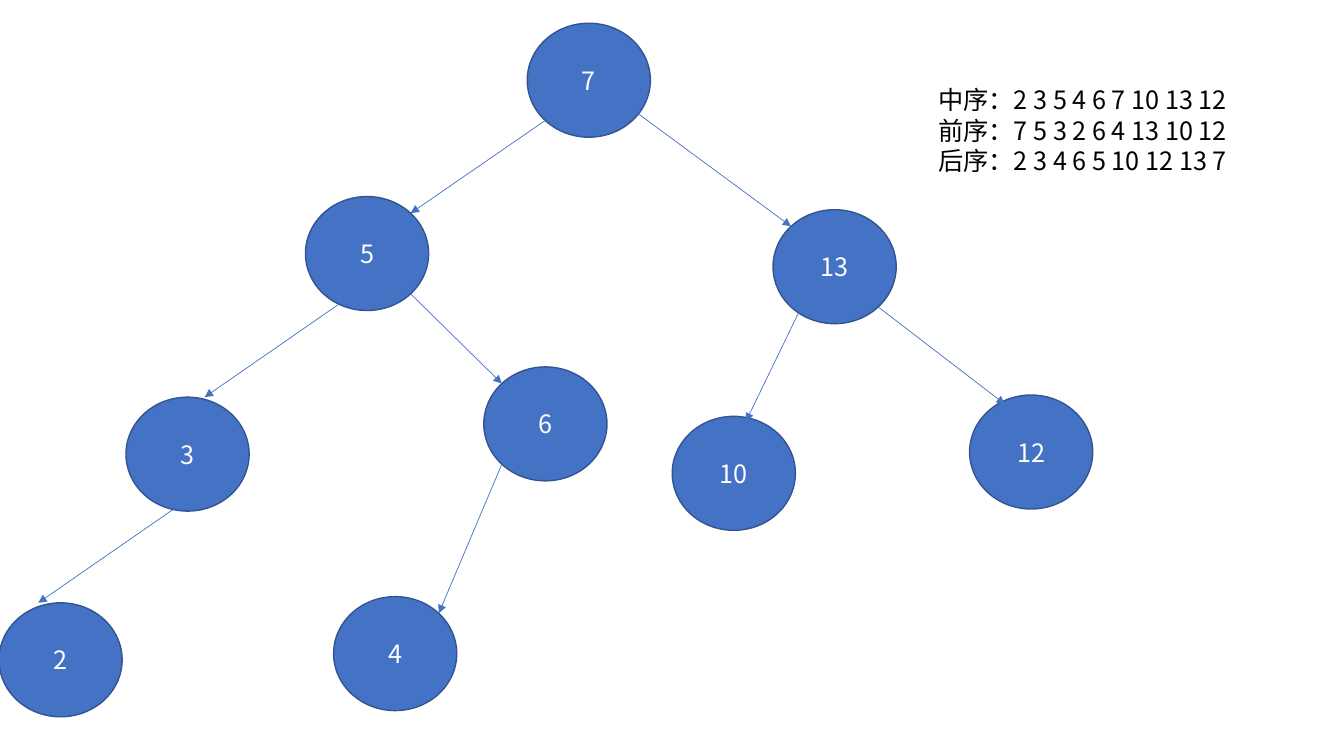
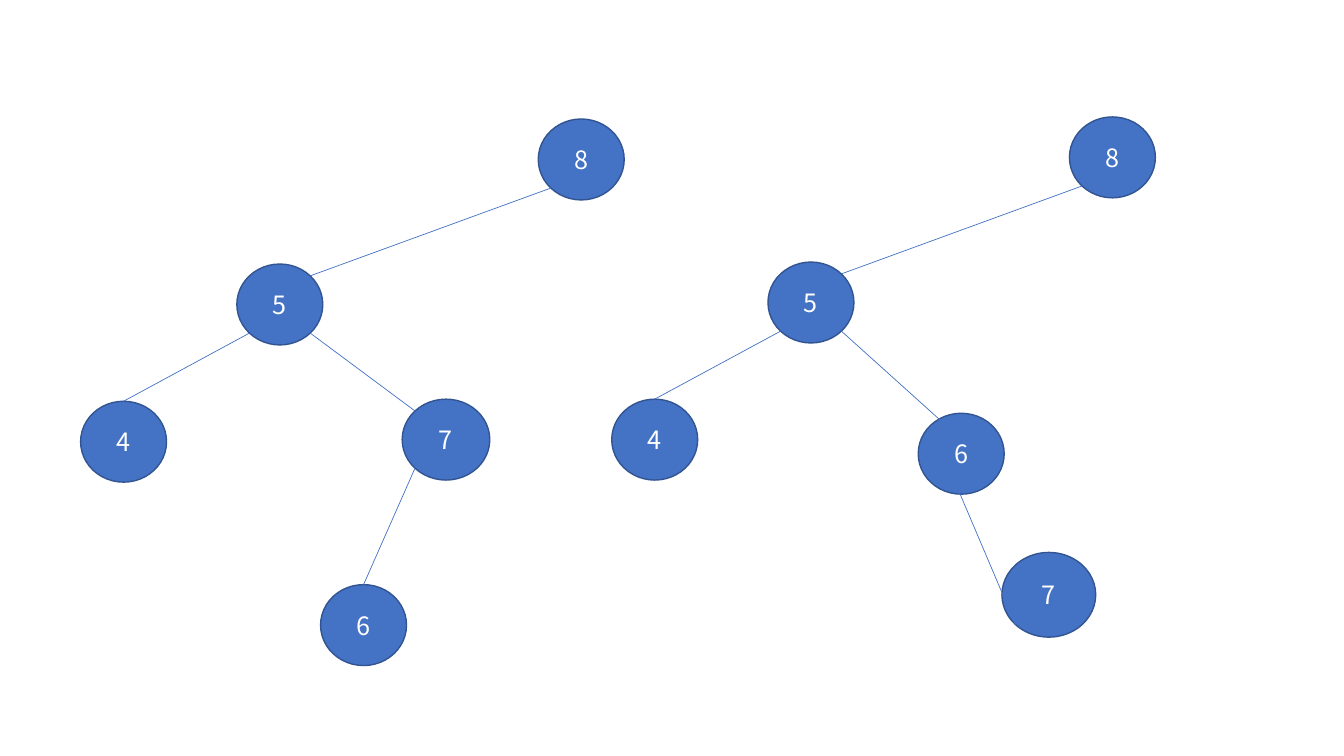
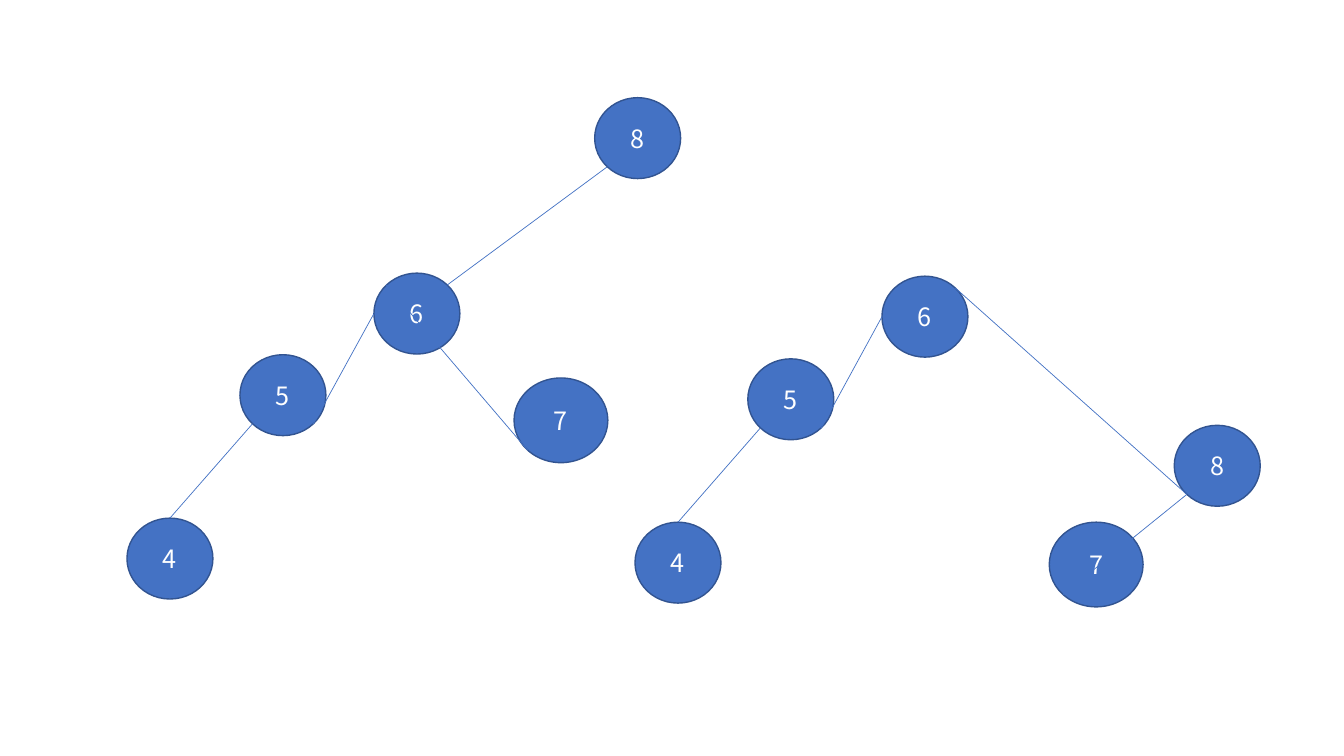
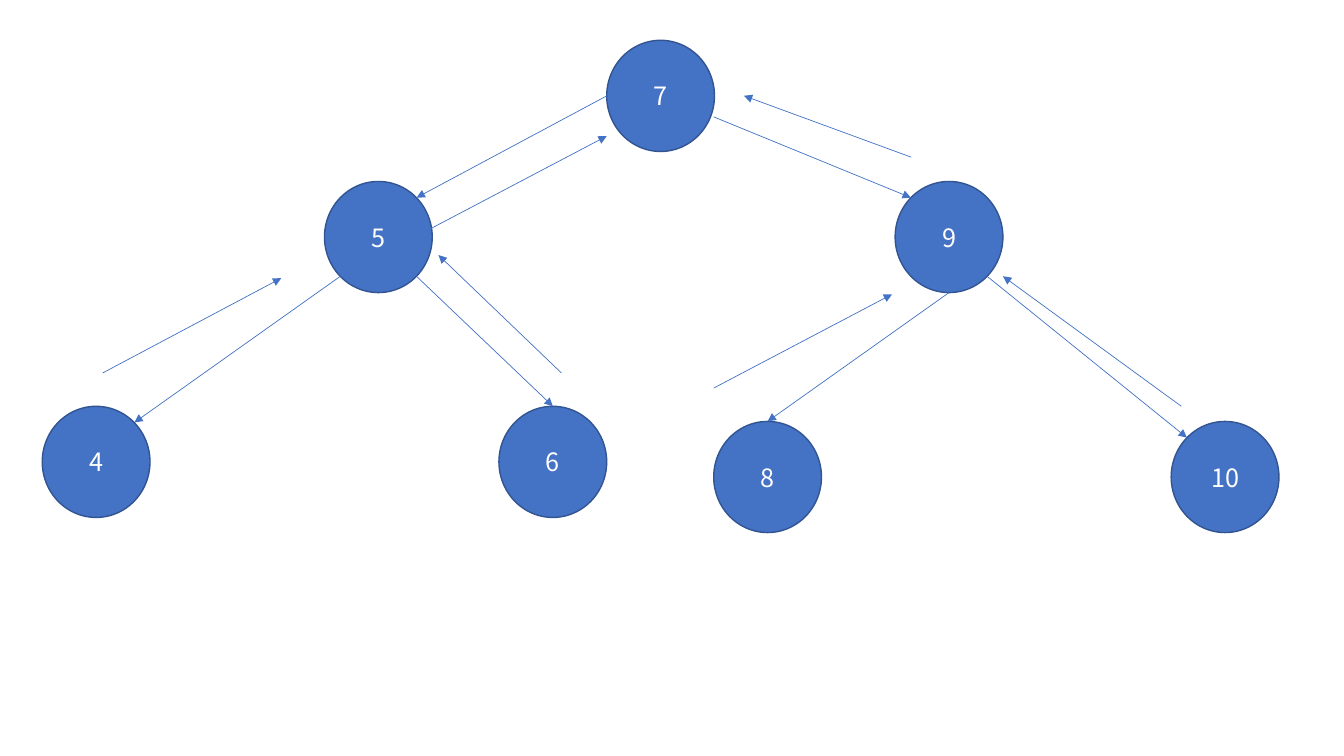
import pptx
import pptx.util
import pptx.dml.color
import pptx.enum.shapes
import pptx.enum.text
import pptx.oxml.ns
import lxml.etree

Pt = pptx.util.Pt
RGB = pptx.dml.color.RGBColor.from_string
qn = pptx.oxml.ns.qn
KIND = pptx.enum.shapes
ALIGN = pptx.enum.text.PP_ALIGN

COLORS = {"node": "4472C4", "edge": "325491", "light": "FFFFFF", "dark": "000000"}
FONT = "Noto Sans CJK SC"

# Points on an ellipse, as shares of its width and height
LOW, HIGH = 0.146, 0.854
SITES = {"t": (0.5, 0), "tl": (LOW, LOW), "l": (0, 0.5), "bl": (LOW, HIGH),
         "b": (0.5, 1), "br": (HIGH, HIGH), "r": (1, 0.5), "tr": (HIGH, LOW)}


def write(frame, text, color="dark", align=ALIGN.LEFT, size=18):
    frame.text = text
    for par in frame.paragraphs:
        par.alignment = align
        font = par.runs[0].font
        font.size, font.name = Pt(size), FONT
        font.color.rgb = RGB(COLORS[color])
        east = lxml.etree.SubElement(font._element, qn("a:ea"))
        east.set("typeface", FONT)


def locate(end, nodes):
    """Turn an (x, y) pair or a "label site" string into a position."""
    if isinstance(end, tuple):
        return end
    label, site = end.split()
    x, y, w, h = nodes[label]
    across, down = SITES[site]
    return x + w * across, y + h * down


# Trees: slide number, arrows, node size, nodes (x, y and own size), links
TREES = [
    (1, True, (88, 81.4),
     {"7": (376.6, 16.6), "5": (218.2, 140.4), "6": (345.6, 262.1),
      "3": (90, 283.7), "13": (552.2, 149.8), "10": (480.2, 297.4),
      "2": (-0.7, 430.6), "4": (238.3, 426.2), "12": (692.6, 282.2)},
     [("7 bl", "5 tr"), ((241.9, 217.4), (146.2, 283.7)),
      ((123.1, 364.3), (27.4, 430.6)), ("5 br", "6 tl"), ("6 bl", "4 tr"),
      ((455, 80.6), "13 tl"), ((570.2, 223.9), (532.8, 301)),
      ("13 br", (717.8, 288.7))]),
    (2, False, (61.4, 57.8),
     {"8": (384.5, 85), "7": (287.3, 285.1, 62.6, 57.8), "6": (229, 417.6),
      "5": (169.2, 188.6), "4": (57.6, 286.6)},
     [("8 bl", "5 tr"), ("7 tl", "5 br"), ("5 bl", "4 t"), ("6 t", "7 bl")]),
    (2, False, (61.4, 57.8),
     {"8": (763.9, 83.5), "7": (715.7, 394.6, 67, 60.5), "6": (655.9, 295.2),
      "5": (548.6, 187.2), "4": (437, 285.1)},
     [("8 bl", "5 tr"), ((679.7, 307.4), "5 br"), ("5 bl", "4 t"),
      ("6 tl", "7 bl")]),
    (3, False, (61.4, 57.8),
     {"8": (424.8, 69.8), "7": (367.2, 270, 67, 60.5), "6": (267.1, 195.1),
      "5": (171.4, 253.4), "4": (90.7, 370.1)},
     [("8 bl", "6 tr"), ("6 l", "5 br"), ("5 bl", "4 t"), ("6 tl", "7 bl")]),
    (3, False, (61.4, 57.8),
     {"8": (838.8, 303.8), "7": (749.5, 373, 67, 60.5), "6": (630, 197.3),
      "5": (534.2, 256.3), "4": (453.6, 373)},
     [("8 bl", "6 tr"), ("6 l", "5 br"), ("5 bl", "4 t"), ("8 bl", "7 bl")]),
    (4, True, (77, 79.4),
     {"7": (433.4, 28.8), "5": (231.8, 129.6), "9": (639.4, 129.6),
      "4": (30.2, 290.2), "6": (356.4, 290.2), "8": (509.8, 301),
      "10": (836.6, 301)},
     [("7 l", "5 tr"), ("5 bl", "4 tr"), ("9 b", "8 t"), ("5 br", "6 t"),
      ((509.8, 83.5), "9 tl"), ("9 br", "10 tl"),
      # Arrows back up to the parent
      ((306, 164.2), (433.4, 97.2)), ((73.4, 266.4), (200.9, 198.7)),
      ((509.8, 277.2), (637.2, 210.2)), ((650.9, 112.3), (531.4, 68.4)),
      ((843.8, 290.2), (716.4, 197.3)), ((401, 266.4), (313.2, 182.2))]),
]

deck = pptx.Presentation()
deck.slide_width, deck.slide_height = Pt(960), Pt(540)
slides = [deck.slides.add_slide(deck.slide_layouts[6]) for _ in range(4)]

for number, arrows, size, spots, links in TREES:
    shapes = slides[number - 1].shapes
    nodes = {label: spot[:2] + (spot[2:] or size) for label, spot in spots.items()}

    # Nodes
    for label, box in nodes.items():
        node = shapes.add_shape(KIND.MSO_SHAPE.OVAL, *map(Pt, box))
        node.shadow.inherit = False
        node.fill.solid()
        node.fill.fore_color.rgb = RGB(COLORS["node"])
        node.line.color.rgb = RGB(COLORS["edge"])
        node.line.width = Pt(1)
        node.text_frame.vertical_anchor = pptx.enum.text.MSO_ANCHOR.MIDDLE
        write(node.text_frame, label, color="light", align=ALIGN.CENTER)

    # Links
    for start, stop in links:
        ends = locate(start, nodes) + locate(stop, nodes)
        link = shapes.add_connector(KIND.MSO_CONNECTOR.STRAIGHT, *map(Pt, ends))
        link.line.color.rgb = RGB(COLORS["node"])
        link.line.width = Pt(0.5)
        if arrows:
            tip = lxml.etree.SubElement(link.line._get_or_add_ln(), qn("a:tailEnd"))
            tip.set("type", "triangle")
        lxml.etree.SubElement(link._element.spPr, qn("a:effectLst"))

# Traversal orders
orders = slides[0].shapes.add_textbox(Pt(663.1), Pt(56.9), Pt(279.4), Pt(72.7))
orders.text_frame.word_wrap = True
write(orders.text_frame, "中序：2 3 5 4 6 7 10 13 12\n"
                         "前序：7 5 3 2 6 4 13 10 12\n"
                         "后序：2 3 4 6 5 10 12 13 7")

deck.save("out.pptx")
